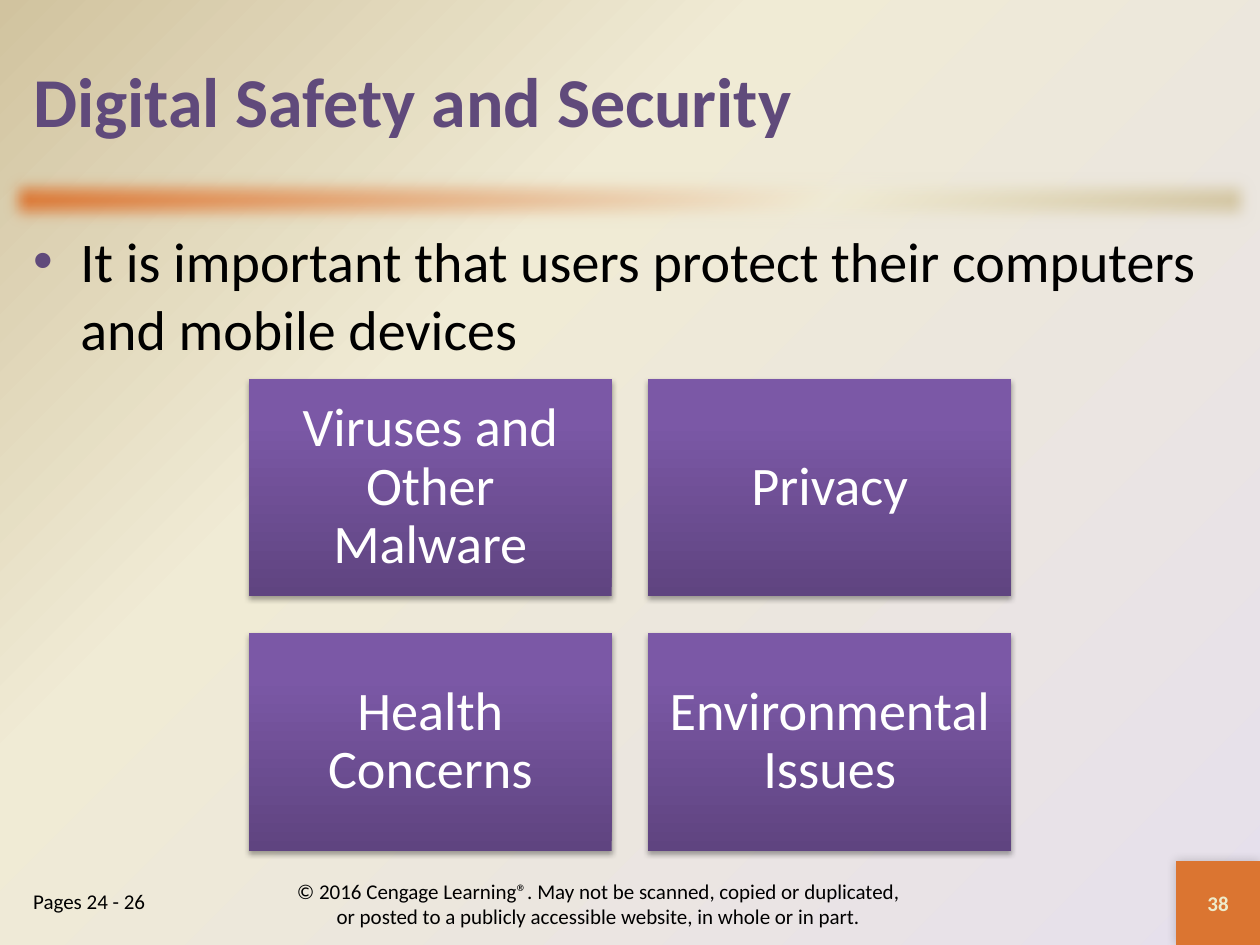
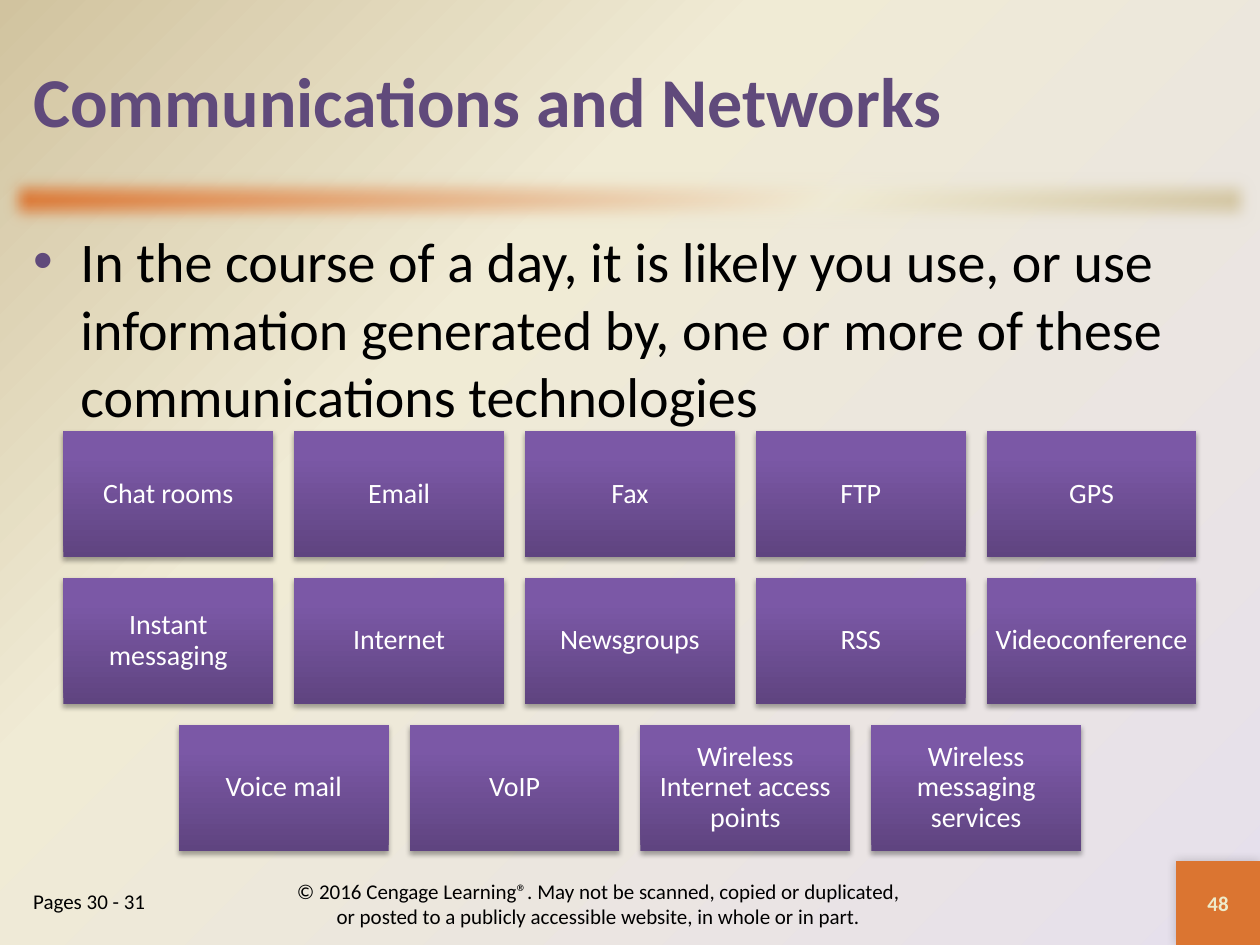
from dataclasses import dataclass

from lxml import etree
from pptx import Presentation
from pptx.dml.color import RGBColor
from pptx.enum.shapes import MSO_SHAPE
from pptx.enum.text import MSO_ANCHOR, PP_ALIGN
from pptx.oxml.ns import qn
from pptx.util import Cm, Pt

RECTANGLE = MSO_SHAPE.RECTANGLE
TOP, MIDDLE = MSO_ANCHOR.TOP, MSO_ANCHOR.MIDDLE
LEFT, CENTER = PP_ALIGN.LEFT, PP_ALIGN.CENTER

COPYRIGHT = (
    "© 2016 Cengage Learning®. May not be scanned, copied or duplicated, "
    "or posted to a publicly accessible website, in whole or in part."
)

SLIDES = [
    {
        "title": "Digital Safety and Security",
        "point": "It is important that users protect their computers and mobile devices",
        "pages": "Pages 24 - 26",
        "number": "38",
        "tile_width": 7.32,
        "tile_size": 31,
        "tile_inset": 0.33,
        "tiles": [
            ["Viruses and Other Malware", "Privacy"],
            ["Health Concerns", "Environmental Issues"],
        ],
    },
    {
        "title": "Communications and Networks",
        "point": "In the course of a day, it is likely you use, or use information "
                 "generated by, one or more of these communications technologies",
        "pages": "Pages 30 - 31",
        "number": "48",
        "tile_width": 4.23,
        "tile_size": 16,
        "tile_inset": 0.17,
        "tiles": [
            ["Chat rooms", "Email", "Fax", "FTP", "GPS"],
            ["Instant messaging", "Internet", "Newsgroups", "RSS", "Videoconference"],
            ["Voice mail", "VoIP", "Wireless Internet access points",
             "Wireless messaging services"],
        ],
    },
]


@dataclass(frozen=True)
class Theme:
    font: str = "Calibri"
    purple: str = "604A7B"
    orange: str = "DB7531"
    cream: str = "EEEBCA"
    black: str = "000000"
    white: str = "FFFFFF"
    title_size: int = 40
    point_size: int = 32
    footer_size: int = 12
    backdrop: tuple = ((0, "E6E0EC"), (65, "F0EBD5"), (100, "D1C39F"))
    band: tuple = ((0, "DB7531"), (65, "F0EBD5"), (100, "D1C39F"))
    tile: tuple = ((0, "5F4480"), (80, "7B58A6"), (100, "7C57A8"))


THEME = Theme()
PAGE_WIDTH, PAGE_HEIGHT = 25.4, 19.05
MARGIN = 0.42
CONTENT_WIDTH = PAGE_WIDTH - 2 * MARGIN
TILES_BOTTOM = 17.15
TILE_RATIO, GAP_RATIO = 0.6, 0.1
CORNER = 1.69
BULLET_INDENT = 0.95


def add_child(parent, tag, **attributes):
    values = {name: str(value) for name, value in attributes.items()}
    return etree.SubElement(parent, qn(tag), values)


def set_gradient(holder, stops, angle=None):
    gradient = etree.Element(qn("a:gradFill"), rotWithShape="1")
    stop_list = add_child(gradient, "a:gsLst")
    for position, color in stops:
        stop = add_child(stop_list, "a:gs", pos=position * 1000)
        add_child(stop, "a:srgbClr", val=color)
    if angle is None:
        route = add_child(gradient, "a:path", path="circle")
        add_child(route, "a:fillToRect", l=100000, t=100000)
    else:
        add_child(gradient, "a:lin", ang=angle * 60000, scaled=0)
    holder.replace(holder.find(qn("a:solidFill")), gradient)


def add_effect(shape, tag, **attributes):
    effects = shape.element.spPr.find(qn("a:effectLst"))
    return add_child(effects, tag, **attributes)


def add_shadow(shape, opacity, blur, distance, direction):
    shadow = add_effect(shape, "a:outerShdw", blurRad=Pt(blur), dist=Pt(distance),
                        dir=direction * 60000, rotWithShape=0)
    color = add_child(shadow, "a:srgbClr", val=THEME.black)
    add_child(color, "a:alpha", val=opacity * 1000)


def add_rectangle(page, left, top, width, height, color=THEME.orange):
    shape = page.shapes.add_shape(RECTANGLE, Cm(left), Cm(top), Cm(width), Cm(height))
    shape.fill.solid()
    shape.fill.fore_color.rgb = RGBColor.from_string(color)
    shape.line.fill.background()
    shape.shadow.inherit = False
    return shape


def add_text_box(page, left, top, width, height):
    return page.shapes.add_textbox(Cm(left), Cm(top), Cm(width), Cm(height))


def add_bullet(para):
    properties = para._p.get_or_add_pPr()
    properties.set("marL", str(Cm(BULLET_INDENT)))
    properties.set("indent", str(-Cm(BULLET_INDENT)))
    color = add_child(properties, "a:buClr")
    add_child(color, "a:srgbClr", val=THEME.purple)
    add_child(properties, "a:buFont", typeface="Arial")
    add_child(properties, "a:buChar", char="•")


def write(box, text, *, size, color=THEME.black, bold=False, align=LEFT,
          anchor=MIDDLE, inset=None, side_inset=None, line_spacing=None, bullet=False):
    frame = box.text_frame
    frame.word_wrap = True
    frame.vertical_anchor = anchor
    if inset is not None:
        frame.margin_top = frame.margin_bottom = Cm(inset)
        side_inset = inset
    if side_inset is not None:
        frame.margin_left = frame.margin_right = Cm(side_inset)
    para = frame.paragraphs[0]
    para.alignment = align
    if line_spacing:
        para.line_spacing = line_spacing
    if bullet:
        add_bullet(para)
    span = para.add_run()
    span.text = text
    span.font.name = THEME.font
    span.font.size = Pt(size)
    span.font.bold = bold
    span.font.color.rgb = RGBColor.from_string(color)


def add_frame(page, content):
    page.background.fill.solid()
    set_gradient(page.element.find(".//" + qn("p:bgPr")), THEME.backdrop)

    band = add_rectangle(page, 0, 3.39, PAGE_WIDTH, 1.27)
    set_gradient(band.element.spPr, THEME.band, angle=45)
    add_effect(band, "a:softEdge", rad=Pt(10))

    corner = add_rectangle(page, PAGE_WIDTH - CORNER, PAGE_HEIGHT - CORNER, CORNER, CORNER)
    add_shadow(corner, opacity=20, blur=6, distance=0, direction=225)
    write(corner, content["number"], size=THEME.footer_size, color=THEME.cream,
          bold=True, align=CENTER)

    title = add_text_box(page, MARGIN, MARGIN, CONTENT_WIDTH, 3.18)
    write(title, content["title"], size=THEME.title_size, color=THEME.purple, bold=True)

    point = add_text_box(page, MARGIN, 4.45, CONTENT_WIDTH, 12.9)
    write(point, content["point"], size=THEME.point_size, anchor=TOP, bullet=True)

    pages = add_text_box(page, MARGIN, 17.78, 4.65, 1.27)
    write(pages, content["pages"], size=THEME.footer_size, anchor=TOP)

    notice = add_text_box(page, 5.5, 17.7, 13.13, 1.02)
    write(notice, COPYRIGHT, size=THEME.footer_size, align=CENTER, side_inset=0.4)


def add_tiles(page, content):
    width = content["tile_width"]
    height, gap = width * TILE_RATIO, width * GAP_RATIO
    rows = content["tiles"]
    first_top = TILES_BOTTOM - len(rows) * (height + gap) + gap
    for row_index, labels in enumerate(rows):
        row_width = len(labels) * (width + gap) - gap
        first_left = (PAGE_WIDTH - row_width) / 2
        top = first_top + row_index * (height + gap)
        for column, label in enumerate(labels):
            tile = add_rectangle(page, first_left + column * (width + gap), top,
                                 width, height)
            set_gradient(tile.element.spPr, THEME.tile, angle=270)
            add_shadow(tile, opacity=35, blur=3.1, distance=1.8, direction=90)
            write(tile, label, size=content["tile_size"], color=THEME.white,
                  align=CENTER, inset=content["tile_inset"], line_spacing=0.9)


def main():
    deck = Presentation()
    deck.slide_width, deck.slide_height = Cm(PAGE_WIDTH), Cm(PAGE_HEIGHT)
    blank = deck.slide_layouts[6]
    for content in SLIDES:
        page = deck.slides.add_slide(blank)
        add_frame(page, content)
        add_tiles(page, content)
    deck.save("out.pptx")


if __name__ == "__main__":
    main()
